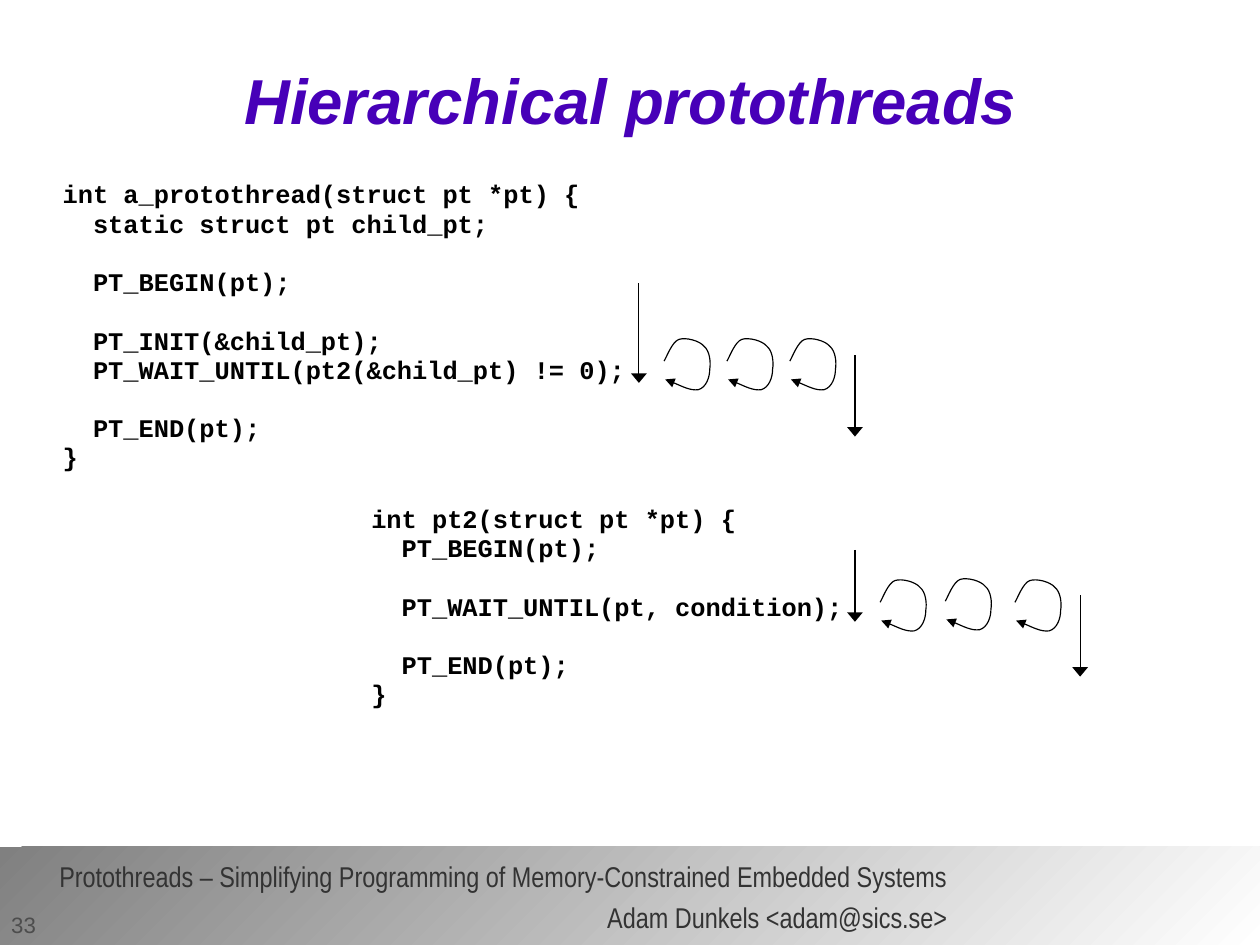
from lxml import etree
from pptx import Presentation
from pptx.dml.color import RGBColor
from pptx.enum.shapes import MSO_CONNECTOR, MSO_SHAPE
from pptx.enum.text import MSO_ANCHOR, MSO_AUTO_SIZE, PP_ALIGN
from pptx.oxml.ns import qn
from pptx.util import Inches, Pt

LEFT, CENTER, RIGHT = PP_ALIGN.LEFT, PP_ALIGN.CENTER, PP_ALIGN.RIGHT
TOP, MIDDLE = MSO_ANCHOR.TOP, MSO_ANCHOR.MIDDLE
GROW, FIXED = MSO_AUTO_SIZE.SHAPE_TO_FIT_TEXT, MSO_AUTO_SIZE.NONE
STRAIGHT = MSO_CONNECTOR.STRAIGHT
ROUNDED = MSO_SHAPE.ROUNDED_RECTANGLE

# The page is 28 by 21 cm
PAGE_WIDTH, PAGE_HEIGHT = Inches(28 / 2.54), Inches(21 / 2.54)

COLORS = {"title": "4700B8", "ink": "000000", "footer": "333333",
          "number": "4D4D4D", "dark": "808080", "light": "FFFFFF"}

TITLE = dict(name="Arial", size=Pt(40), bold=True, italic=True)
CODE = dict(name="Courier New", size=Pt(16), bold=True)
FOOTER = dict(name="Arial Narrow", size=Pt(18))
NUMBER = dict(name="Arial", size=Pt(14))
CODE_LINE = Pt(18.4)

PARENT_CODE = """int a_protothread(struct pt *pt) {
  static struct pt child_pt;

  PT_BEGIN(pt);

  PT_INIT(&child_pt);
  PT_WAIT_UNTIL(pt2(&child_pt) != 0);

  PT_END(pt);
}"""

CHILD_CODE = """int pt2(struct pt *pt) {
  PT_BEGIN(pt);

  PT_WAIT_UNTIL(pt, condition);

  PT_END(pt);
}"""

FOOTER_TEXT = """Protothreads – Simplifying Programming of Memory-Constrained Embedded Systems
Adam Dunkels <adam@sics.se>"""

# Start point of a loop, then three Bezier points per curve
LOOP = [(0, 0.21),
        (0.02, 0.18), (0.07, 0.04), (0.13, 0.02),
        (0.19, 0), (0.31, 0.03), (0.35, 0.08),
        (0.4, 0.12), (0.41, 0.22), (0.4, 0.28),
        (0.4, 0.35), (0.37, 0.44), (0.3, 0.46),
        (0.23, 0.47), (0.07, 0.39), (0.01, 0.37)]
LOOPS = [(5.81, 2.95), (6.36, 2.95), (6.91, 2.95),
         (7.7, 5.06), (8.27, 5.05), (8.88, 5.06)]

# x, top, bottom
ARROWS = [(5.59, 2.48, 3.35), (7.48, 3.11, 3.82),
          (7.48, 4.81, 5.44), (9.45, 5.21, 5.92)]


def rgb(key):
    return RGBColor.from_string(COLORS[key])


def add_text(s, box, text, fmt, color, align=LEFT, spacing=0.96, framed=False):
    """Add one paragraph per line; an empty line becomes space before the next."""
    tf = s.shapes.add_textbox(*map(Inches, box)).text_frame
    tf.word_wrap = framed
    tf.auto_size = FIXED if framed else GROW
    tf.vertical_anchor = MIDDLE if framed else TOP
    if framed:
        for side in ("left", "top", "right", "bottom"):
            setattr(tf, f"margin_{side}", 0)
    p, gap = None, 0
    for line in text.split("\n"):
        if not line:
            gap += CODE_LINE
            continue
        p = tf.add_paragraph() if p is not None else tf.paragraphs[0]
        p.alignment = align
        p.line_spacing = spacing
        if gap:
            p.space_before, gap = gap, 0
        r = p.add_run()
        r.text = line
        for key, value in fmt.items():
            setattr(r.font, key, value)
        r.font.color.rgb = rgb(color)


def style_arrow(shape, head_width):
    """Thin black line with a triangle at its end and no shadow."""
    shape.line.color.rgb = rgb("ink")
    shape.line.width = Pt(0.75)
    sp_pr = shape._element.spPr
    etree.SubElement(sp_pr.find(qn("a:ln")), qn("a:tailEnd"),
                     type="triangle", w=head_width, len="med")
    etree.SubElement(sp_pr, qn("a:effectLst"))


def add_arrow(s, x, top, bottom):
    style_arrow(s.shapes.add_connector(
        STRAIGHT, Inches(x), Inches(top), Inches(x), Inches(bottom)), "lg")


def add_loop(s, left, top):
    points = [(Inches(left + x), Inches(top + y)) for x, y in LOOP]
    builder = s.shapes.build_freeform(*points[0])
    builder.add_line_segments(points[1:], close=False)
    shape = builder.convert_to_shape()
    shape.fill.background()
    # Group the segments three by three into curves
    outline = next(shape._element.iter(qn("a:path")))
    segments = outline.findall(qn("a:lnTo"))
    for i in range(0, len(segments), 3):
        curve = etree.SubElement(outline, qn("a:cubicBezTo"))
        for segment in segments[i:i + 3]:
            curve.append(segment[0])
            outline.remove(segment)
    style_arrow(shape, "med")


def add_footer_band(s):
    band = s.shapes.add_shape(ROUNDED, 0, Inches(7.41), PAGE_WIDTH, Inches(0.86))
    band.adjustments[0] = 0
    band.shadow.inherit = False
    band.line.fill.background()
    band.fill.gradient()
    band.fill.gradient_angle = 315
    for stop, key in zip(band.fill.gradient_stops, ("dark", "light")):
        stop.color.rgb = rgb(key)


def main():
    prs = Presentation()
    prs.slide_width, prs.slide_height = PAGE_WIDTH, PAGE_HEIGHT
    s = prs.slides.add_slide(prs.slide_layouts[6])

    # Footer
    add_footer_band(s)
    add_text(s, (0.12, 7.47, 8.17, 0.69), FOOTER_TEXT, FOOTER, "footer",
             align=RIGHT, spacing=1.2, framed=True)
    add_text(s, (0, 7.94, 0.44, 0.32), "33", NUMBER, "number")

    # Title and code
    add_text(s, (0.81, 0.2, 9.41, 1.38), "Hierarchical protothreads", TITLE,
             "title", align=CENTER, spacing=0.98, framed=True)
    add_text(s, (0.45, 1.53, 5.15, 2.67), PARENT_CODE, CODE, "ink")
    add_text(s, (3.15, 4.37, 4.35, 1.9), CHILD_CODE, CODE, "ink")

    # Control flow
    for arrow in ARROWS:
        add_arrow(s, *arrow)
    for loop in LOOPS:
        add_loop(s, *loop)

    prs.save("out.pptx")


if __name__ == "__main__":
    main()
